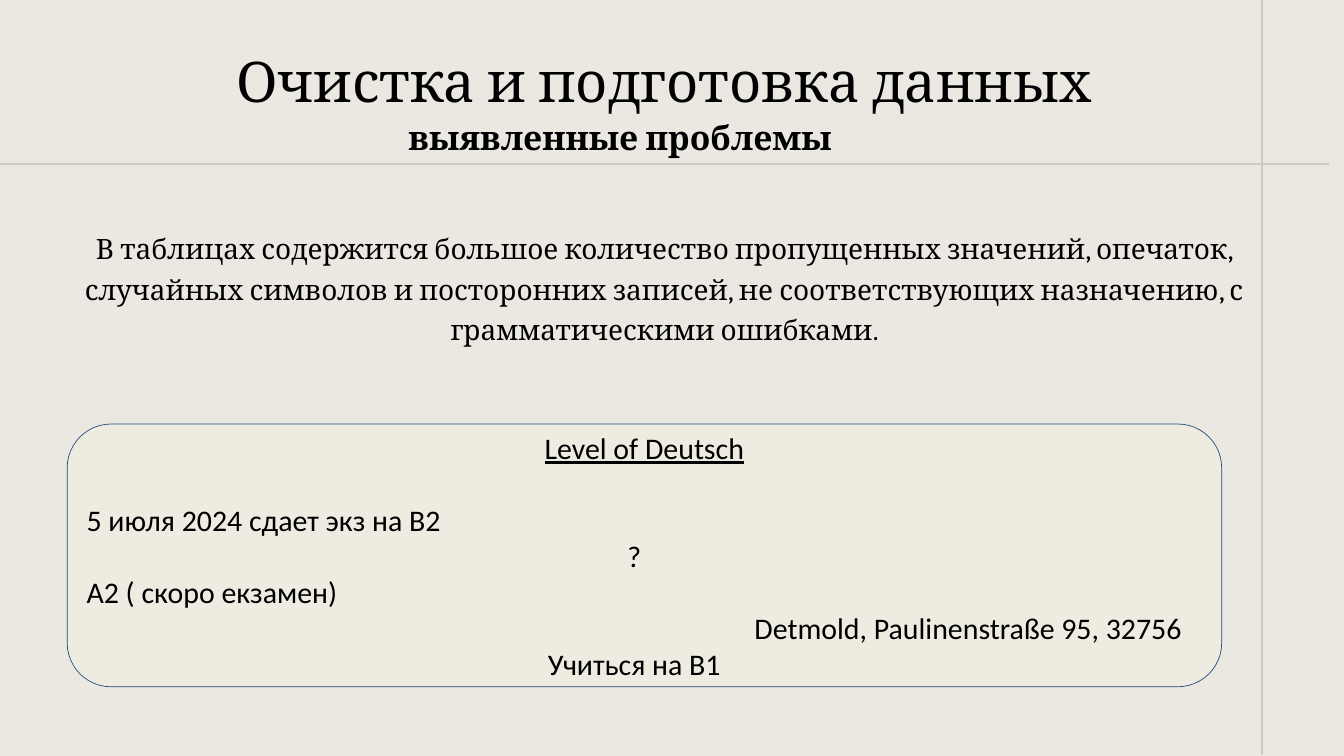
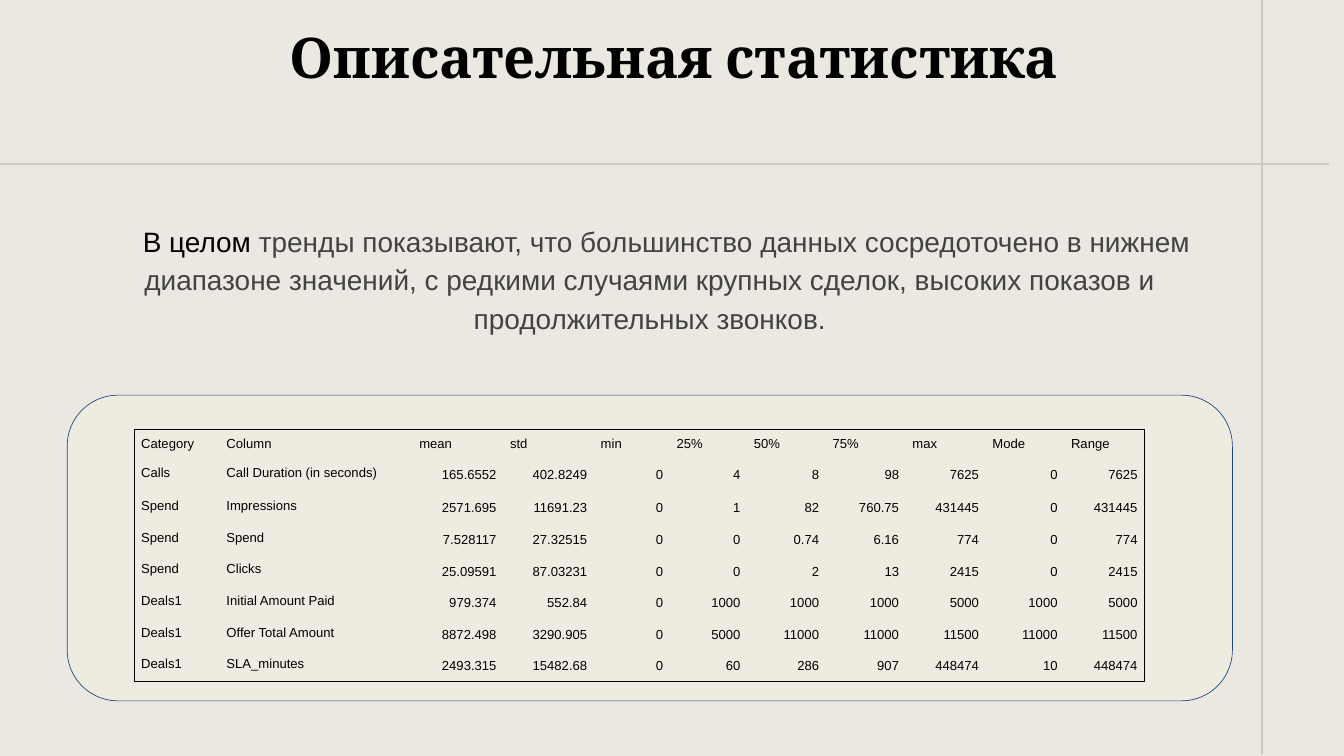
from lxml import etree
from pptx import Presentation
from pptx import util as u
from pptx.dml.color import RGBColor
from pptx.enum import shapes, text
from pptx.oxml import ns

BACKDROP, RULE, PANEL, PANEL_EDGE = "EBE8E2", "CFC9BD", "EEECE1", "1F497D"
BLACK, GREY = "000000", "434343"
LEFT, CENTER, RIGHT = text.PP_ALIGN.LEFT, text.PP_ALIGN.CENTER, text.PP_ALIGN.RIGHT
NO_STYLE_NO_GRID = "{2D5ABB26-0587-4C30-8999-92F81FD0307C}"

deck = Presentation()
deck.slide_width, deck.slide_height = u.Inches(20), u.Inches(11.25)
UNIT = deck.slide_width / 20  # the grid is 20 columns by 11.25 rows


def paint(colour_format, colour):
    colour_format.rgb = RGBColor.from_string(colour)


def write(frame, paragraphs, inset=0.0):
    """Fill a frame or cell with (runs, paragraph format, indents) tuples; a run is (text, colour, font)."""
    for side in ("left", "right", "top", "bottom"):
        setattr(frame, f"margin_{side}", u.Inches(inset))
    body = getattr(frame, "text_frame", frame)
    body.word_wrap = True
    for index, (runs, layout, indents) in enumerate(paragraphs):
        paragraph = body.add_paragraph() if index else body.paragraphs[0]
        for key, value in layout.items():
            setattr(paragraph, key, value)
        for key, columns in indents.items():
            paragraph._p.get_or_add_pPr().set(key, str(round(columns * UNIT)))
        for words, colour, font in runs:
            run = paragraph.add_run()
            run.text = words
            paint(run.font.color, colour)
            for key, value in font.items():
                setattr(run.font, key, value)


TITLE = {"name": "Cambria", "size": u.Pt(60)}
SUBTITLE = {"name": "Cambria", "size": u.Pt(36), "bold": True}
SERIF_BODY = {"name": "Cambria", "size": u.Pt(30)}
SANS_BODY = {"name": "Arial", "size": u.Pt(30)}
ENTRY = {"name": "Calibri", "size": u.Pt(32)}
FIGURE = {"name": "Arial", "size": u.Pt(14)}

# Each text: grid place (left, top, width, height), runs, line spacing, indents
cleaning = [
    ((2.89, 1.62, 12.46, 0.73), [("выявленные проблемы", BLACK, SUBTITLE)], 1.2, {"marL": 0.22}),
    ((1, 3.35, 17.78, 2.1),
     [("В таблицах содержится большое количество пропущенных значений, опечаток, случайных "
       "символов и посторонних записей, не соответствующих назначению, с грамматическими "
       "ошибками.", BLACK, SERIF_BODY)], 1.2, {}),
    ((1, 0.27, 17.57, 1.43), [("Очистка и подготовка данных", BLACK, TITLE)], 1.42, {"marL": 0.2}),
]
statistics = [
    ((1, 3.26, 17.34, 2.32),
     [("В целом ", BLACK, SANS_BODY),
      ("тренды показывают, что большинство данных сосредоточено в нижнем диапазоне значений, "
       "с редкими случаями крупных сделок, высоких показов и продолжительных звонков.",
       GREY, SANS_BODY)], 1.15, {"marL": 0, "indent": 0.5}),
    ((1, 0.19, 17.57, 1.16),
     [("Описательная статистика", BLACK, TITLE | {"bold": True})], 1.15, {"marL": 0.5}),
]
bad_entries = [
    ("Level of Deutsch", {"alignment": CENTER}, {}, {"underline": True}),
    ("5 июля 2024 сдает экз на B2", {"alignment": LEFT, "space_before": u.Pt(39)}, {}, {}),
    ("?", {"alignment": CENTER}, {"marR": 0.3}, {}),
    ("А2 ( скоро екзамен)", {"alignment": LEFT}, {}, {}),
    ("Detmold, Paulinenstraße 95, 32756", {"alignment": RIGHT}, {}, {}),
    ("Учиться на B1", {"alignment": CENTER}, {}, {}),
]
entries = [([(words, BLACK, ENTRY | extra)], layout, indents)
           for words, layout, indents, extra in bad_entries]

# What both slides share: backdrop, crossing rules, texts and a rounded panel
for texts, panel_place, panel_text in (
    (cleaning, (1, 6.31, 17.18, 3.91), entries),
    (statistics, (1, 5.88, 17.34, 4.55), []),
):
    slide = deck.slides.add_slide(deck.slide_layouts[6])
    slide.background.fill.solid()
    paint(slide.background.fill.fore_color, BACKDROP)

    for ends in ((-0.22, 2.44, 19.78, 2.44), (18.78, 11.23, 18.78, -0.02)):
        rule = slide.shapes.add_connector(shapes.MSO_CONNECTOR.STRAIGHT,
                                          *(round(n * UNIT) for n in ends))
        paint(rule.line.color, RULE)
        rule.line.width = u.Pt(2.25)
        etree.SubElement(rule._element.spPr, ns.qn("a:effectLst"))

    for place, runs, spacing, indents in texts:
        box = slide.shapes.add_textbox(*(round(n * UNIT) for n in place))
        write(box.text_frame, [(runs, {"alignment": CENTER, "line_spacing": spacing}, indents)])

    panel = slide.shapes.add_shape(shapes.MSO_SHAPE.ROUNDED_RECTANGLE,
                                   *(round(n * UNIT) for n in panel_place))
    panel.shadow.inherit = False
    panel.fill.solid()
    paint(panel.fill.fore_color, PANEL)
    paint(panel.line.color, PANEL_EDGE)
    panel.line.width = u.Pt(0.75)
    panel.text_frame.vertical_anchor = text.MSO_ANCHOR.MIDDLE
    write(panel.text_frame, panel_text, 0.1)

# Summary table on the statistics slide
summary = [
    ("Category", "Column", "mean", "std", "min", "25%", "50%", "75%", "max", "Mode", "Range"),
    ("Calls", "Call Duration (in seconds)", "165.6552", "402.8249", "0", "4", "8", "98",
     "7625", "0", "7625"),
    ("Spend", "Impressions", "2571.695", "11691.23", "0", "1", "82", "760.75",
     "431445", "0", "431445"),
    ("Spend", "Spend", "7.528117", "27.32515", "0", "0", "0.74", "6.16", "774", "0", "774"),
    ("Spend", "Clicks", "25.09591", "87.03231", "0", "0", "2", "13", "2415", "0", "2415"),
    ("Deals1", "Initial Amount Paid", "979.374", "552.84", "0", "1000", "1000", "1000",
     "5000", "1000", "5000"),
    ("Deals1", "Offer Total Amount", "8872.498", "3290.905", "0", "5000", "11000", "11000",
     "11500", "11000", "11500"),
    ("Deals1", "SLA_minutes", "2493.315", "15482.68", "0", "60", "286", "907",
     "448474", "10", "448474"),
]
widths = [1.27, 2.87, 1.35, 1.35, 1.13, 1.15, 1.17, 1.19, 1.19, 1.17, 1.19]
heights = [0.42, 0.5] + [0.47] * 6
last_row, last_column = len(heights) - 1, len(widths) - 1

grid = slide.shapes.add_table(len(heights), len(widths), *(
    round(n * UNIT) for n in (2, 6.39, sum(widths), sum(heights)))).table
grid.first_row = grid.horz_banding = False
grid._tbl.tblPr.find(ns.qn("a:tableStyleId")).text = NO_STYLE_NO_GRID
for column, width in zip(grid.columns, widths):
    column.width = round(width * UNIT)
for row, height in zip(grid.rows, heights):
    row.height = round(height * UNIT)

for r, record in enumerate(summary):
    for c, value in enumerate(record):
        cell = grid.cell(r, c)
        numeric = r > 0 and c > 1
        layout = {"alignment": RIGHT, "line_spacing": 1.15} if numeric else {"alignment": LEFT}
        write(cell, [([(value, BLACK, FIGURE)], layout, {})], 0.1)
        outer_edges = {"L": c == 0, "R": c == last_column, "T": r == 0, "B": r == last_row}
        for side, on_edge in outer_edges.items():
            if on_edge:
                edge = etree.SubElement(cell._tc.get_or_add_tcPr(), ns.qn(f"a:ln{side}"),
                                        w=str(u.Pt(1)))
                ink = etree.SubElement(edge, ns.qn("a:solidFill"))
                etree.SubElement(ink, ns.qn("a:srgbClr"), val=BLACK)
        cell.fill.background()

deck.save("out.pptx")
